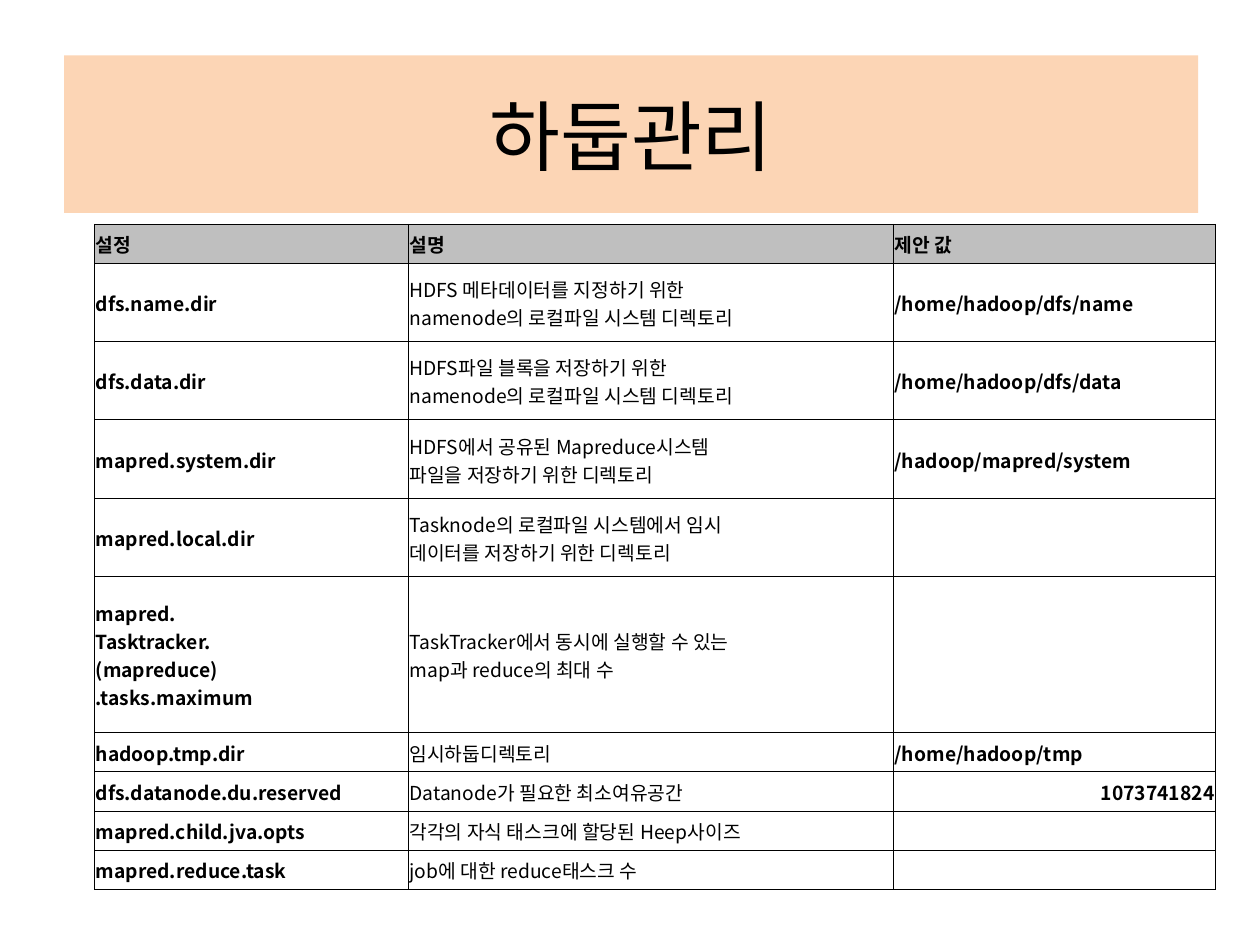
from copy import deepcopy
from lxml import etree
from pptx import Presentation
from pptx.dml.color import RGBColor
from pptx.enum.shapes import MSO_SHAPE
from pptx.enum.text import MSO_ANCHOR, PP_ALIGN
from pptx.oxml.ns import qn
from pptx.util import Inches, Pt

RECT = MSO_SHAPE.RECTANGLE
MIDDLE = MSO_ANCHOR.MIDDLE
LEFT, CENTER, RIGHT = PP_ALIGN.LEFT, PP_ALIGN.CENTER, PP_ALIGN.RIGHT
BLACK = RGBColor(0, 0, 0)
PEACH = RGBColor(0xFC, 0xD5, 0xB5)
GRAY = RGBColor(0xBF, 0xBF, 0xBF)
FONT = "Noto Sans CJK KR"

# Content: a vertical tab marks a line break
TITLE = "하둡관리"
HEAD = ("설정", "설명", "제안 값")
ROWS = [
    ("dfs.name.dir",
     "HDFS 메타데이터를 지정하기 위한\vnamenode의 로컬파일 시스템 디렉토리",
     "/home/hadoop/dfs/name"),
    ("dfs.data.dir",
     "HDFS파일 블록을 저장하기 위한\vnamenode의 로컬파일 시스템 디렉토리",
     "/home/hadoop/dfs/data"),
    ("mapred.system.dir",
     "HDFS에서 공유된 Mapreduce시스템 \v파일을 저장하기 위한 디렉토리",
     "/hadoop/mapred/system"),
    ("mapred.local.dir",
     "Tasknode의 로컬파일 시스템에서 임시\v데이터를 저장하기 위한 디렉토리", ""),
    ("mapred.\vTasktracker.\v(mapreduce)\v.tasks.maximum",
     "TaskTracker에서 동시에 실행할 수 있는\vmap과 reduce의 최대 수", ""),
    ("hadoop.tmp.dir", "임시하둡디렉토리", "/home/hadoop/tmp"),
    ("dfs.datanode.du.reserved", "Datanode가 필요한 최소여유공간", "1073741824"),
    ("mapred.child.jva.opts", "각각의 자식 태스크에 할당된 Heep사이즈", ""),
    ("mapred.reduce.task", "job에 대한 reduce태스크 수", ""),
]
COLS = (2.49, 3.85, 2.56)
UNIT = 5.28 / 17  # height of one text line in the table


def write(frame, text, align, **look):
    """Fill a frame with one paragraph in a single format."""
    para = frame.paragraphs[0]
    para.text = text
    para.alignment = align
    for run in para.runs:
        for key, val in {"name": FONT, **look}.items():
            setattr(run.font, key, val)
        run.font.color.rgb = BLACK
        props = run.font._element
        etree.SubElement(props, qn("a:ea")).set("typeface", FONT)
    for brk in para._p.findall(qn("a:br")):
        brk.append(deepcopy(props))
    end = para._p.get_or_add_endParaRPr()
    end.set("sz", str(int(look["size"].pt * 100)))


def border(cell):
    """Draw a thin black line on all four sides."""
    props = cell._tc.get_or_add_tcPr()
    for side in ("lnL", "lnR", "lnT", "lnB"):
        line = etree.SubElement(props, qn("a:" + side), w=str(Pt(0.5)))
        fill = etree.SubElement(line, qn("a:solidFill"))
        etree.SubElement(fill, qn("a:srgbClr"), val=str(BLACK))


deck = Presentation()
deck.slide_width, deck.slide_height = Inches(10), Inches(7.5)
slide = deck.slides.add_slide(deck.slide_layouts[6])

# Title band
band = slide.shapes.add_shape(
    RECT, Inches(0.51), Inches(0.44), Inches(9), Inches(1.25))
band.shadow.inherit = False
band.fill.solid()
band.fill.fore_color.rgb = PEACH
band.line.fill.background()
band.text_frame.vertical_anchor = MIDDLE
write(band.text_frame, TITLE, CENTER, size=Pt(44))

# Settings table
data = [HEAD] + ROWS
grid = slide.shapes.add_table(
    len(data), len(COLS), Inches(0.75), Inches(1.78),
    Inches(sum(COLS)), Inches(17 * UNIT)).table
grid.horz_banding = False
for col, width in zip(grid.columns, COLS):
    col.width = Inches(width)

edge = Inches(0.01)
PAD = {"margin_left": edge, "margin_right": edge, "margin_top": edge,
       "margin_bottom": 0, "vertical_anchor": MIDDLE}
for r, texts in enumerate(data):
    lines = max(text.count("\v") + 1 for text in texts)
    grid.rows[r].height = Inches(lines * UNIT)
    for c, text in enumerate(texts):
        cell = grid.cell(r, c)
        for key, val in PAD.items():
            setattr(cell, key, val)
        border(cell)
        if r == 0:
            cell.fill.solid()
            cell.fill.fore_color.rgb = GRAY
        else:
            cell.fill.background()
        write(cell.text_frame, text, RIGHT if text.isdigit() else LEFT,
              size=Pt(11), bold=r == 0 or c != 1)

deck.save("out.pptx")
